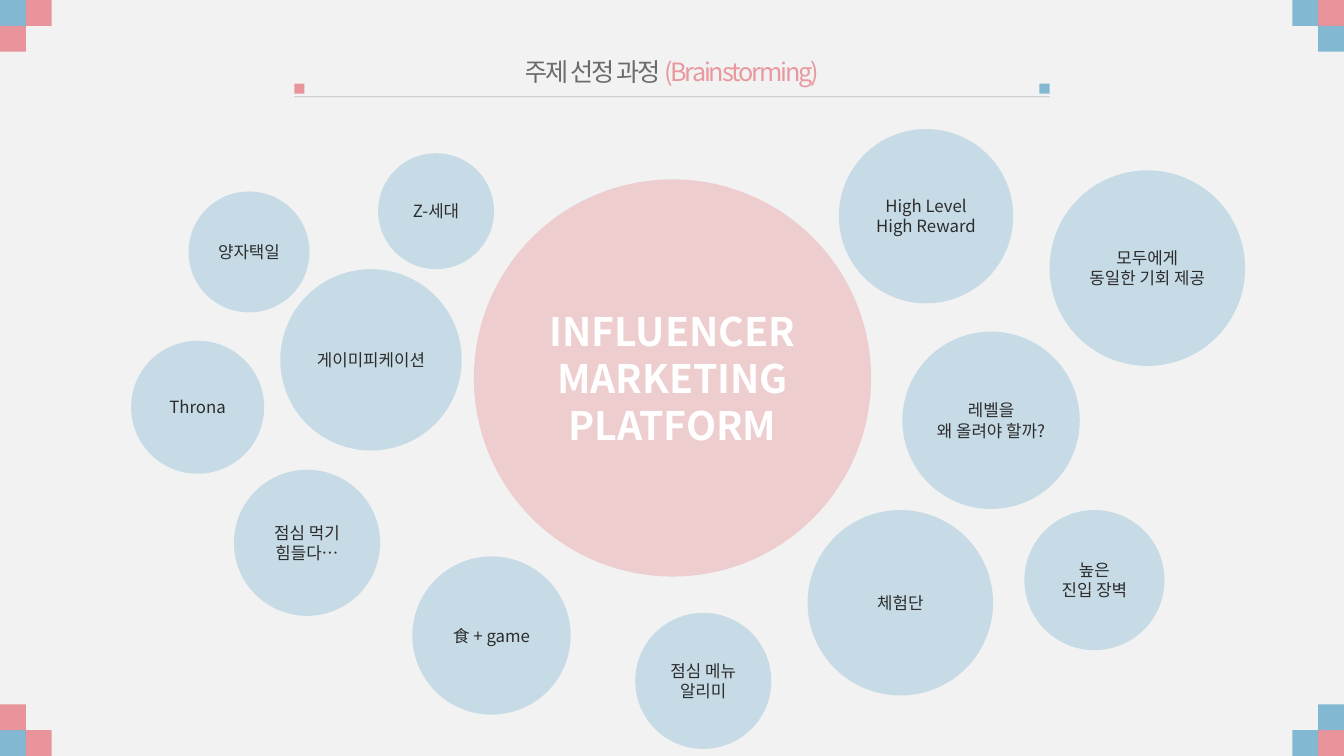
from pptx import Presentation
from pptx.util import Inches, Pt
from pptx.dml.color import RGBColor
from pptx.enum.shapes import MSO_CONNECTOR, MSO_SHAPE
from pptx.enum.text import MSO_ANCHOR, MSO_AUTO_SIZE, PP_ALIGN
from pptx.oxml.ns import qn
from lxml import etree

RECT, OVAL = MSO_SHAPE.RECTANGLE, MSO_SHAPE.OVAL
LINE = MSO_CONNECTOR.STRAIGHT
MID, CENTER = MSO_ANCHOR.MIDDLE, PP_ALIGN.CENTER
GROW = MSO_AUTO_SIZE.SHAPE_TO_FIT_TEXT

W, H = 13.33, 7.5
CELL = W / 52
theme = {
    "font": "Noto Sans CJK KR",
    "back": "F2F2F2", "blue": "529FC6", "rose": "E46A73",
    "ink": "2C2C2C", "gray": "262626", "rule": "404040", "white": "FFFFFF",
    "square": 69, "disc": 27, "head": 66, "thin": 29,
    "note": Pt(12), "title": Pt(18), "core": Pt(28),
}

deck = Presentation()
deck.slide_width, deck.slide_height = Inches(W), Inches(H)
slide = deck.slides.add_slide(deck.slide_layouts[6])
slide.background.fill.solid()
slide.background.fill.fore_color.rgb = RGBColor.from_string(theme["back"])


def form(kind, x, y, size, color, alpha):
    """Add a square or disc in a see-through colour."""
    shape = slide.shapes.add_shape(kind, *map(Inches, (x, y, size, size)))
    shape.shadow.inherit = False
    shape.line.fill.background()
    shape.fill.solid()
    shape.fill.fore_color.rgb = RGBColor.from_string(theme[color])
    for tint in shape.element.spPr.iter(qn("a:srgbClr")):
        etree.SubElement(tint, qn("a:alpha"), val=str(theme[alpha] * 1000))
    return shape


def write(para, text, size, color, bold=False):
    """Add a run of text, with one font for all scripts."""
    para.alignment = CENTER
    run = para.add_run()
    run.text = text
    look = {"name": theme["font"], "size": theme[size], "bold": bold}
    for key, value in look.items():
        setattr(run.font, key, value)
    run.font.color.rgb = RGBColor.from_string(theme[color])
    etree.SubElement(run.font._element, qn("a:ea"), typeface=theme["font"])


# Corner squares: the corner cell and its two neighbours
for left, own, other in ((True, "blue", "rose"), (False, "rose", "blue")):
    for top in (True, False):
        for col, row in ((0, 0), (1, 0), (0, 1)):
            x = col * CELL if left else W - (col + 1) * CELL
            y = row * CELL if top else H - (row + 1) * CELL
            form(RECT, x, y, CELL, other if col + row else own, "square")

# Title rule with a small square at each end
start, end, base, dot = 2.92, 10.41, 0.96, 0.1
rule = slide.shapes.add_connector(LINE, *map(Inches, (start, base, end, base)))
rule.line.width = Pt(0.5)
rule.line.color.rgb = RGBColor.from_string(theme["rule"])
for tint in rule.element.spPr.iter(qn("a:srgbClr")):
    etree.SubElement(tint, qn("a:alpha"), val=str(theme["thin"] * 1000))
etree.SubElement(rule.element.spPr, qn("a:effectLst"))
for x, color in ((start, "rose"), (end - dot, "blue")):
    form(RECT, x, 0.83, dot, color, "square")

# Title
box = slide.shapes.add_textbox(*map(Inches, (3.02, 0.51, 7.29, 0.4)))
box.text_frame.word_wrap = True
box.text_frame.auto_size = GROW
for text, color in (("주제 선정 과정 ", "gray"), ("(Brainstorming)", "rose")):
    write(box.text_frame.paragraphs[0], text, "title", color)
for props in box.element.iter(qn("a:rPr")):
    props.set("spc", "-150")
for tint in box.element.iter(qn("a:srgbClr")):
    etree.SubElement(tint, qn("a:alpha"), val=str(theme["head"] * 1000))

# Idea discs: left, top, size, lines
ideas = [
    (1.3, 3.38, 1.32, ["Throna"]),
    (4.7, 1.78, 3.94, ["INFLUENCER", "MARKETING", "PLATFORM"]),
    (6.3, 6.08, 1.35, ["점심 메뉴 알리미"]),
    (2.78, 2.67, 1.8, ["게이미피케이션"]),
    (2.32, 4.66, 1.45, ["점심 먹기 힘들다…"]),
    (1.87, 1.9, 1.2, ["양자택일"]),
    (8.01, 5.06, 1.84, ["체험단"]),
    (8.32, 1.28, 1.73, ["High Level", "High Reward"]),
    (8.95, 3.29, 1.76, ["레벨을", "왜 올려야 할까?"]),
    (4.09, 5.52, 1.57, ["食 + game"]),
    (3.75, 1.52, 1.15, ["Z-세대"]),
    (10.16, 5.06, 1.39, ["높은", "진입 장벽"]),
    (10.41, 1.69, 1.94, ["모두에게", "동일한 기회 제공"]),
]
setup = {"word_wrap": True, "vertical_anchor": MID, "margin_left": 0,
         "margin_right": 0, "margin_top": 0, "margin_bottom": 0}
for x, y, size, lines in ideas:
    core = size > 3
    disc = form(OVAL, x, y, size, "rose" if core else "blue", "disc")
    frame = disc.text_frame
    for key, value in setup.items():
        setattr(frame, key, value)
    style = ("core", "white", True) if core else ("note", "ink")
    for i, text in enumerate(lines):
        para = frame.add_paragraph() if i else frame.paragraphs[0]
        write(para, text, *style)

deck.save("out.pptx")
